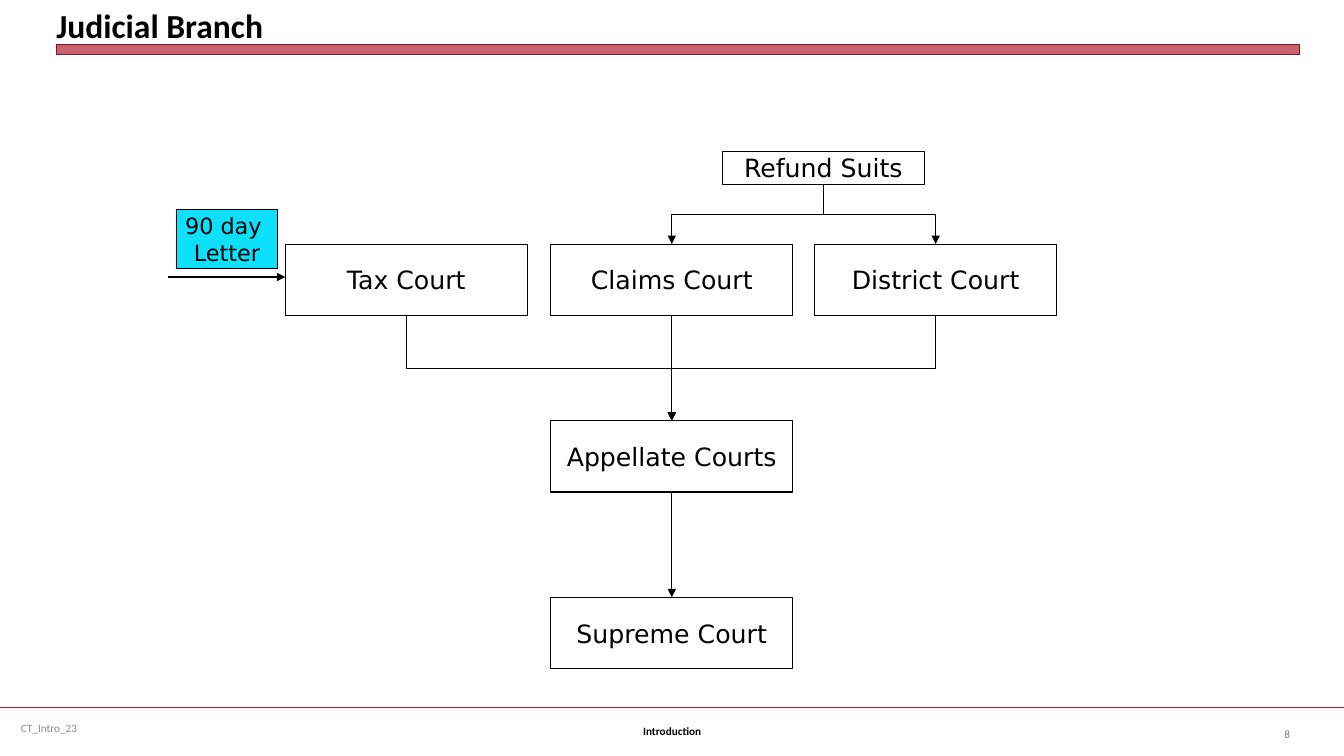
"""Build the Judicial Branch slide: a flow chart of the federal tax courts."""
from pptx import Presentation
from pptx.dml.color import RGBColor as Rgb
from pptx.enum.shapes import MSO_CONNECTOR as Link, MSO_SHAPE as Shape
from pptx.enum.text import MSO_ANCHOR as Anchor, PP_ALIGN as Align
from pptx.oxml.ns import qn
from pptx.util import Cm, Pt
from lxml.etree import SubElement as Sub

BLACK = Rgb(0x00, 0x00, 0x00)
RED = Rgb(0xB0, 0x1C, 0x2E)
DARK = Rgb(0x82, 0x15, 0x22)
CYAN = Rgb(0x0C, 0xE0, 0xFB)
GRAY = Rgb(0x89, 0x89, 0x89)
MID = Rgb(0x80, 0x80, 0x80)
SANS = "DejaVu Sans"

deck = Presentation()
deck.slide_width, deck.slide_height = Cm(33.87), Cm(19.05)
slide = deck.slides.add_slide(deck.slide_layouts[6])
parts = slide.shapes


def write(shape, text, size, font, color, align, bold=False, wrap=True):
    frame = shape.text_frame
    frame.text = text
    frame.word_wrap = wrap
    frame.vertical_anchor = Anchor.MIDDLE
    for para in frame.paragraphs:
        para.alignment = align
        for run in para.runs:
            run.font.size, run.font.name = Pt(size), font
            run.font.color.rgb, run.font.bold = color, bold
    return frame


def join(kind, x1, y1, x2, y2, color=BLACK, width=0.75, head=True):
    line = parts.add_connector(kind, Cm(x1), Cm(y1), Cm(x2), Cm(y2))
    line.line.color.rgb, line.line.width = color, Pt(width)
    if head:
        Sub(line.line._get_or_add_ln(), qn("a:tailEnd"), type="triangle")
    Sub(line._element.spPr, qn("a:effectLst"))
    return line


join(Link.STRAIGHT, 0, 17.83, 33.87, 17.83, RED, 1.25, False)

bar = parts.add_shape(Shape.RECTANGLE, Cm(1.42), Cm(1.13), Cm(31.32), Cm(0.25))
bar.shadow.inherit = False
bar.fill.solid()
bar.fill.fore_color.rgb = RED
tint = bar._element.spPr.find(qn("a:solidFill")).find(qn("a:srgbClr"))
Sub(tint, qn("a:alpha"), val="69000")
bar.line.color.rgb, bar.line.width = DARK, Pt(0)

title = parts.add_textbox(Cm(1.42), Cm(0.13), Cm(31.32), Cm(1.02))
frame = write(title, "Judicial Branch", 24, "Calibri", BLACK, Align.LEFT, True)
frame.vertical_anchor = Anchor.BOTTOM
frame.margin_left = frame.margin_right = 0
frame.margin_top = frame.margin_bottom = 0

for text, x, y, w, color, align, bold in (
    ("CT_Intro_23", 0.28, 17.83, 8.74, GRAY, Align.LEFT, False),
    ("Introduction", 11.58, 17.91, 10.72, BLACK, Align.CENTER, True),
    ("8", 31.06, 17.98, 1.7, MID, Align.RIGHT, False),
):
    foot = parts.add_textbox(Cm(x), Cm(y), Cm(w), Cm(1.02))
    write(foot, text, 8, "Calibri", color, align, bold)

WIDE, HIGH = 6.1, 1.8
LEFT, MAIN, RIGHT = 10.24, 16.93, 23.58
TOP, STEP = 6.15, 4.45
SUIT, SUIT_Y = 20.75, 3.81
ROWS = [TOP + STEP * n for n in range(3)]

boxes = {}
for text, x, y, w, h, size, wrap in (
    ("Tax Court", LEFT, ROWS[0], WIDE, HIGH, 18, True),
    ("Claims Court", MAIN, ROWS[0], WIDE, HIGH, 18, True),
    ("District Court", RIGHT, ROWS[0], WIDE, HIGH, 18, True),
    ("Appellate Courts", MAIN, ROWS[1], WIDE, HIGH, 18, True),
    ("Supreme Court", MAIN, ROWS[2], WIDE, HIGH, 18, True),
    ("Refund Suits", SUIT, SUIT_Y, 5.08, 0.84, 18, False),
    ("90 day \nLetter", 5.72, 5.28, 2.54, 1.48, 16, False),
):
    box = parts.add_shape(Shape.RECTANGLE, Cm(x - w / 2), Cm(y), Cm(w), Cm(h))
    box.shadow.inherit = False
    box.fill.background()
    box.line.color.rgb, box.line.width = BLACK, Pt(0.75)
    write(box, text, size, SANS, BLACK, Align.CENTER, wrap=wrap)
    boxes[text] = box
note = boxes["90 day \nLetter"]
note.fill.solid()
note.fill.fore_color.rgb = CYAN

chain = ["Claims Court", "Appellate Courts", "Supreme Court"]
for start, end in zip(chain, chain[1:]):
    line = join(Link.STRAIGHT, MAIN, TOP, MAIN, TOP + STEP)
    line.begin_connect(boxes[start], 2)
    line.end_connect(boxes[end], 0)

join(Link.STRAIGHT, 4.24, 6.98, LEFT - WIDE / 2, 6.98)

for x1, y1, x2, y2 in (
    (SUIT, SUIT_Y + 0.84, MAIN, TOP),
    (SUIT, SUIT_Y + 0.84, RIGHT, TOP),
    (LEFT, TOP + HIGH, MAIN, ROWS[1]),
    (RIGHT, TOP + HIGH, MAIN, ROWS[1]),
):
    mid_x, mid_y = (x1 + x2) / 2, (y1 + y2) / 2
    side = 1 if x2 < x1 else -1
    run, drop = abs(x2 - x1) / 2, (y2 - y1) / 2 * side
    bend = join(Link.ELBOW, mid_x - drop, mid_y - run, mid_x + drop, mid_y + run)
    turn = 90 if side > 0 else 270
    bend._element.spPr.find(qn("a:xfrm")).set("rot", str(turn * 60000))

deck.save("out.pptx")
